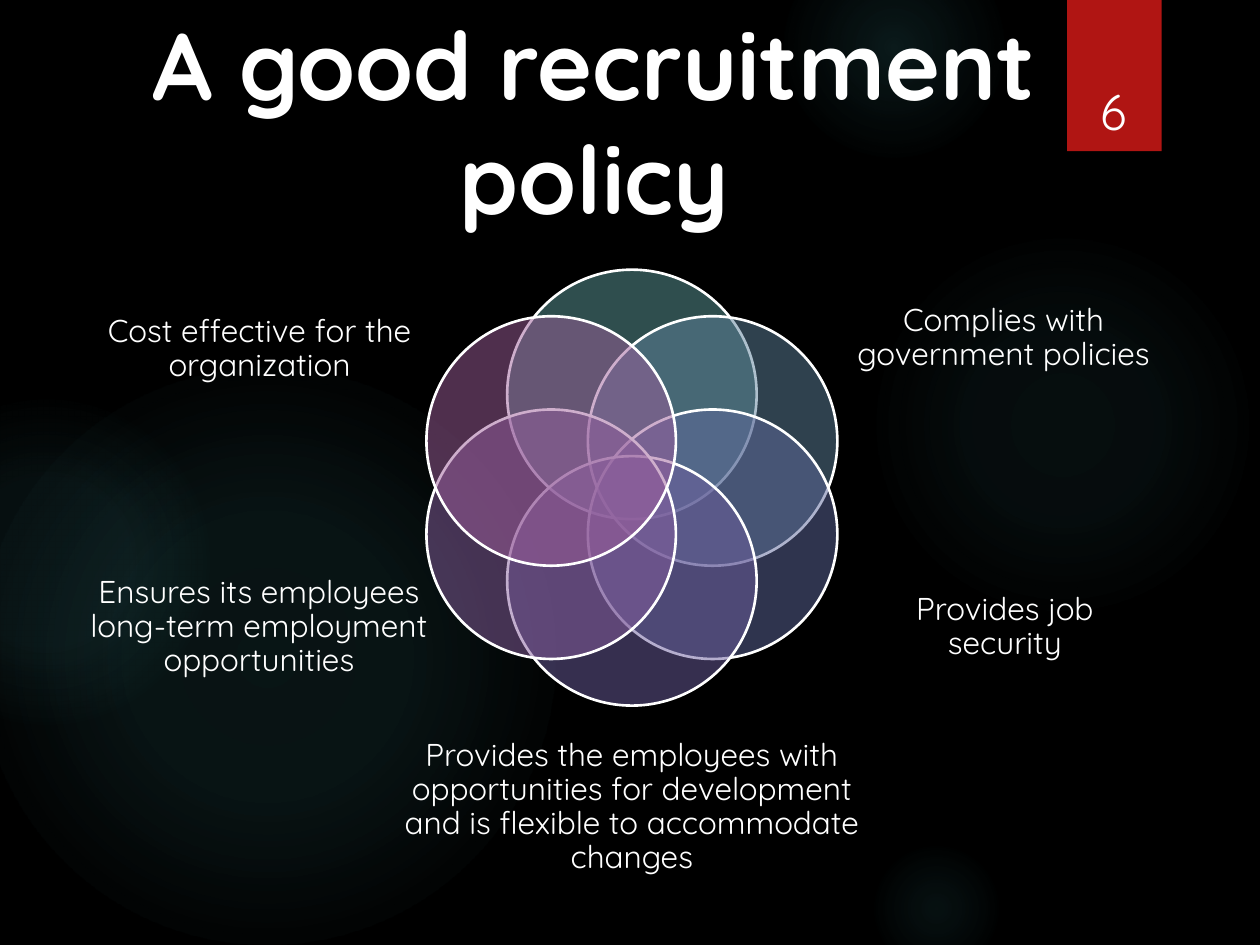
from math import cos, radians, sin

from lxml.etree import SubElement
from pptx import Presentation
from pptx.dml.color import RGBColor
from pptx.enum.shapes import MSO_SHAPE as SHAPE
from pptx.enum.text import MSO_ANCHOR as ANCHOR, MSO_AUTO_SIZE as AUTO, PP_ALIGN as ALIGN
from pptx.oxml import parse_xml
from pptx.oxml.ns import nsdecls, qn
from pptx.util import Inches, Pt

FONT = "Quicksand"
BLACK = RGBColor(0x00, 0x00, 0x00)
WHITE = RGBColor(0xFF, 0xFF, 0xFF)
RED = RGBColor(0xB0, 0x15, 0x13)
TEAL = RGBColor(0x50, 0xB9, 0xC1)

# left, top, diameter, then (position %, opacity %) stops
GLOWS = [
    (6.89, 1.83, 3.08, [(0, 7), (36, 6), (69, 0)]),
    (6.22, -0.5, 1.75, [(0, 14), (36, 7), (73, 0)]),
    (6.89, 6.67, 1.08, [(0, 9), (36, 5), (66, 0)]),
    (-0.17, 2.92, 4.58, [(0, 11), (36, 10), (75, 0)]),
    (-0.92, 3.17, 2.58, [(0, 8), (36, 8), (72, 0)]),
]

# Clockwise from the top
PETALS = [RGBColor.from_string(c) for c in
          ("5F9C9D", "5F839D", "5F699D", "6D5E9E", "875E9E", "9E5E9B")]

LABELS = [
    ("Complies with government policies", (6.44, 2.2, 3.05, 0.97)),
    ("Provides job security", (6.8, 4.7, 2.35, 0.55)),
    ("Provides the employees with opportunities for development "
     "and is flexible to accommodate changes", (3.08, 5.73, 3.87, 1.35)),
    ("Ensures its employees long-term employment opportunities",
     (0.5, 4.45, 3.11, 1.05)),
    ("Cost effective for the organization", (0.85, 2.37, 2.42, 0.8)),
]


def add_plain_shape(slide, kind, box, color):
    """Add a preset shape with a solid fill, no line and no shadow."""
    sp = slide.shapes.add_shape(kind, *map(Inches, box))
    sp.shadow.inherit = False
    sp.fill.solid()
    sp.fill.fore_color.rgb = color
    sp.line.fill.background()
    return sp


def set_text(tf, text, size, anchor, bold=False):
    tf.text = text
    tf.word_wrap = True
    tf.auto_size = AUTO.NONE
    tf.vertical_anchor = anchor
    p = tf.paragraphs[0]
    p.alignment = ALIGN.CENTER
    font = p.runs[0].font
    font.name, font.size, font.bold = FONT, Pt(size), bold
    font.color.rgb = WHITE
    return p


def add_glow(slide, left, top, size, stops):
    sp = add_plain_shape(slide, SHAPE.OVAL, (left, top, size, size), TEAL)
    stop_xml = "".join(
        f'<a:gs pos="{pos * 1000}"><a:srgbClr val="{TEAL}">'
        f'<a:alpha val="{alpha * 1000}"/></a:srgbClr></a:gs>'
        for pos, alpha in stops)
    gradient = parse_xml(
        f'<a:gradFill {nsdecls("a")}><a:gsLst>{stop_xml}</a:gsLst>'
        '<a:path path="circle">'
        '<a:fillToRect l="50000" t="50000" r="50000" b="50000"/>'
        '</a:path></a:gradFill>')
    solid = sp.element.spPr.find(qn("a:solidFill"))
    solid.getparent().replace(solid, gradient)


def add_page_tab(slide, box, number):
    left, top, width, height = box
    add_plain_shape(slide, SHAPE.RECTANGLE, box, RED)
    text_box = (left + 0.02, top + 0.32, width - 0.06, height - 0.36)
    tb = slide.shapes.add_textbox(*map(Inches, text_box))
    set_text(tb.text_frame, number, 28, ANCHOR.BOTTOM)


def add_petals(slide, box, size):
    """Spread translucent circles around the centre of the box."""
    left, top, width, height = box
    radius = (height - size) / 2
    for i, color in enumerate(PETALS):
        angle = radians(360 / len(PETALS) * i)
        x = left + (width - size) / 2 + radius * sin(angle)
        y = top + radius * (1 - cos(angle))
        sp = add_plain_shape(slide, SHAPE.OVAL, (x, y, size, size), color)
        SubElement(sp.element.spPr.find(f'{qn("a:solidFill")}/{qn("a:srgbClr")}'),
                   qn("a:alpha"), val="50000")
        sp.line.color.rgb = WHITE
        sp.line.width = Pt(1.5)


def add_label(slide, text, box):
    tf = slide.shapes.add_textbox(*map(Inches, box)).text_frame
    tf.margin_left = tf.margin_top = tf.margin_right = tf.margin_bottom = 0
    set_text(tf, text, 18, ANCHOR.MIDDLE).line_spacing = 0.9


def place_title(slide, box, text):
    """Fill the title placeholder and bring it in front of the glows."""
    sp = slide.shapes.title
    sp.left, sp.top, sp.width, sp.height = map(Inches, box)
    set_text(sp.text_frame, text, 54, ANCHOR.TOP, bold=True)
    slide.shapes.element.append(sp.element)


def main():
    prs = Presentation()
    prs.slide_width, prs.slide_height = Inches(10), Inches(7.5)
    slide = prs.slides.add_slide(prs.slide_layouts[5])
    slide.background.fill.solid()
    slide.background.fill.fore_color.rgb = BLACK

    for glow in GLOWS:
        add_glow(slide, *glow)
    add_petals(slide, (3.38, 2.14, 3.27, 3.46), 1.98)
    for text, box in LABELS:
        add_label(slide, text, box)
    place_title(slide, (0.33, 0, 8.77, 1.01), "A good recruitment policy")
    add_page_tab(slide, (8.47, 0, 0.75, 1.2), "6")
    prs.save("out.pptx")


if __name__ == "__main__":
    main()
